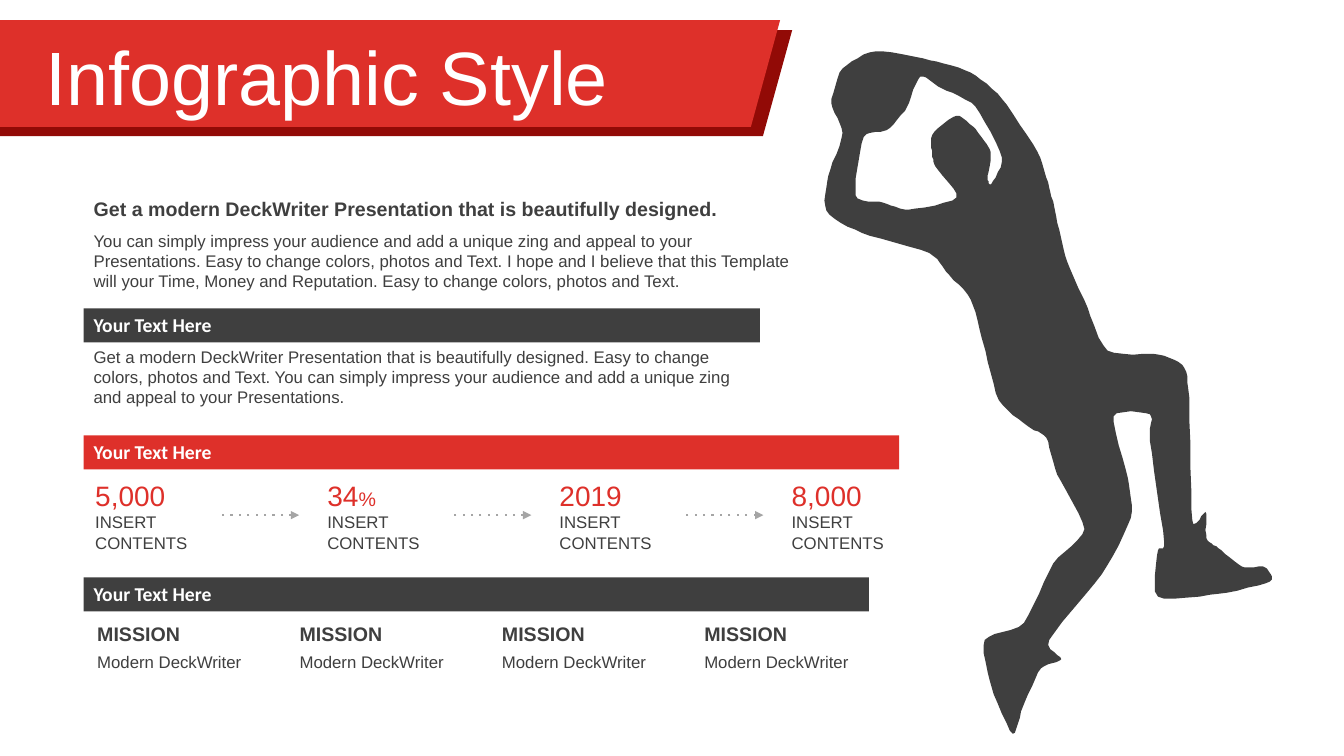
"""Builds an infographic slide with a banner, text bars, key figures and an athlete."""
from lxml import etree
from pptx import Presentation
from pptx import util as u
from pptx.dml import color
from pptx.enum import shapes as s, text as t
from pptx.oxml import ns

RED, DARK, DEEP, GREY, WHITE = "DE302A", "3F3F3F", "920A06", "A5A5A5", "FFFFFF"

TITLE = "Infographic Style"
LEAD = "Get a modern DeckWriter Presentation that is beautifully designed."
INTRO = ("You can simply impress your audience and add a unique zing and appeal to your "
         "Presentations. Easy to change colors, photos and Text. I hope and I believe that "
         "this Template will your Time, Money and Reputation. Easy to change colors, "
         "photos and Text.")
BODY = ("Get a modern DeckWriter Presentation that is beautifully designed. Easy to change "
        "colors, photos and Text. You can simply impress your audience and add a unique "
        "zing and appeal to your Presentations.")
BARS = [("Your Text Here", 7.77, 17.04, DARK),
        ("Your Text Here", 10.97, 20.55, RED),
        ("Your Text Here", 14.55, 19.79, DARK)]
STATS = [("5,000", ""), ("34", "%"), ("2019", ""), ("8,000", "")]
LABEL = "INSERT\nCONTENTS"
GOALS = [("MISSION", "Modern DeckWriter")] * 4

BANNER = [(DEEP, 786, 30, 105), (RED, 774, 20, 106)]
SLANT = 29
ATHLETE = [
    (1005, 728), (984, 682), (977, 635), (1016, 618), (1045, 559), (1076, 525),
    (1049, 471), (1038, 434), (1020, 423), (991, 397), (976, 342), (963, 297),
    (939, 270), (922, 251), (855, 231), (820, 209), (822, 174), (836, 132),
    (825, 103), (836, 68), (869, 51), (923, 60), (963, 72), (994, 98),
    (1029, 150), (1041, 186), (1048, 215), (1059, 260), (1076, 298), (1099, 348),
    (1150, 352), (1175, 365), (1180, 402), (1183, 516), (1196, 508), (1197, 534),
    (1209, 544), (1232, 562), (1255, 563), (1260, 577), (1210, 589), (1149, 592),
    (1149, 546), (1155, 537), (1141, 438), (1141, 411), (1105, 413), (1119, 474),
    (1122, 514), (1093, 570), (1041, 635), (1053, 654), (1033, 663), (1015, 701)]
ARM_GAP = [
    (925, 152), (925, 134), (949, 115), (968, 128), (983, 151), (980, 177),
    (984, 182), (994, 156), (968, 106), (935, 88), (913, 76), (900, 106),
    (880, 129), (857, 136), (849, 194), (876, 201), (902, 208), (949, 196),
    (928, 165)]

LEFT, BAR_H = 2.11, 0.86
STAT_X, STAT_GAP = 2.15, 5.85
GOAL_X, GOAL_GAP = 2.45, 5.1
UNIT = u.Cm(2.54) / 100
STEPS, BEND = 6, 0.35

deck = Presentation()
deck.slide_width, deck.slide_height = u.Cm(33.87), u.Cm(19.05)
slide = deck.slides.add_slide(deck.slide_layouts[6])


def rgb(code):
    return color.RGBColor.from_string(code)


def paint(shape, fill):
    shape.shadow.inherit = False
    shape.fill.solid()
    shape.fill.fore_color.rgb = rgb(fill)
    shape.line.fill.background()


def write(shape, words, size=12, tint=DARK, font="Arial", bold=False, unit="",
          low=False, inset=True, grow=True, space=None):
    frame = shape.text_frame
    frame.word_wrap = True
    frame.auto_size = t.MSO_AUTO_SIZE.SHAPE_TO_FIT_TEXT if grow else t.MSO_AUTO_SIZE.NONE
    frame.vertical_anchor = t.MSO_ANCHOR.BOTTOM if low else t.MSO_ANCHOR.TOP
    if not inset:
        frame.margin_left = frame.margin_right = frame.margin_top = frame.margin_bottom = 0
    for i, line in enumerate(words.split("\n")):
        para = frame.add_paragraph() if i else frame.paragraphs[0]
        para.alignment = t.PP_ALIGN.LEFT
        para.line_spacing = space
        for part, points in ((line, size), (unit, 14)):
            if part:
                run = para.add_run()
                run.text = part
                run.font.name, run.font.bold = font, bold
                run.font.size = u.Pt(points)
                run.font.color.rgb = rgb(tint)


def label(x, y, w, h, words, **style):
    box = slide.shapes.add_textbox(u.Cm(x), u.Cm(y), u.Cm(w), u.Cm(h))
    write(box, words, **style)


def blend(a, b, c, d, k):
    rise = k * k * (3 - 2 * k)
    start, end = k * (1 - k) ** 2, k * k * (k - 1)
    return b + (c - b) * rise + BEND * ((c - a) * start + (d - b) * end)


def smooth(loop):
    curve = []
    for i in range(len(loop)):
        near = [loop[(i + j) % len(loop)] for j in (-1, 0, 1, 2)]
        for step in range(STEPS):
            curve.append(tuple(blend(*axis, step / STEPS) for axis in zip(*near)))
    return curve


def outline(fill, first, *rest):
    pen = slide.shapes.build_freeform(*first[0], scale=UNIT)
    pen.add_line_segments(first[1:], close=True)
    for loop in rest:
        pen.move_to(*loop[0])
        pen.add_line_segments(loop[1:], close=True)
    paint(pen.convert_to_shape(), fill)


def arrow(x, y, w):
    line = slide.shapes.add_connector(s.MSO_CONNECTOR.STRAIGHT, u.Cm(x + w), u.Cm(y),
                                      u.Cm(x), u.Cm(y))
    line.line.color.rgb = rgb(GREY)
    line.line.width = u.Pt(1.5)
    props = line.element.spPr
    stroke = props.find(ns.qn("a:ln"))
    etree.SubElement(stroke, ns.qn("a:prstDash"), val="dot")
    etree.SubElement(stroke, ns.qn("a:headEnd"), type="triangle")
    etree.SubElement(props, ns.qn("a:effectLst"))


outline(DARK, smooth(ATHLETE), smooth(ARM_GAP))
for fill, w, y, h in BANNER:
    outline(fill, [(w, y), (0, y), (0, y + h), (w - SLANT, y + h)])
label(0.89, 0.89, 17.6, 2.01, TITLE, size=54, tint=WHITE, grow=False, space=0.9)
label(LEFT, 4.83, 18.39, 0.86, LEAD, size=14, bold=True)
label(LEFT, 5.69, 18.39, 1.8, INTRO)
label(LEFT, 8.61, 17.04, 1.8, BODY)

for words, y, w, fill in BARS:
    bar = slide.shapes.add_shape(s.MSO_SHAPE.RECTANGLE, u.Cm(LEFT), u.Cm(y),
                                 u.Cm(w), u.Cm(BAR_H))
    paint(bar, fill)
    write(bar, words, size=14, tint=WHITE, font="Calibri", bold=True)

for i, (count, unit) in enumerate(STATS):
    x = STAT_X + i * STAT_GAP
    label(x, 12.78, 2.97, 1.27, LABEL)
    label(x, 11.91, 2.97, 1.12, count, size=20, tint=RED, unit=unit, low=True)
    if i < len(STATS) - 1:
        arrow(x + 3.41, 12.98, 1.98)

for i, (head, note) in enumerate(GOALS):
    x = GOAL_X + i * GOAL_GAP
    label(x, 16.43, 5.1, 0.51, note, inset=False)
    label(x, 15.67, 5.1, 0.61, head, size=14, bold=True, inset=False)

deck.save("out.pptx")
